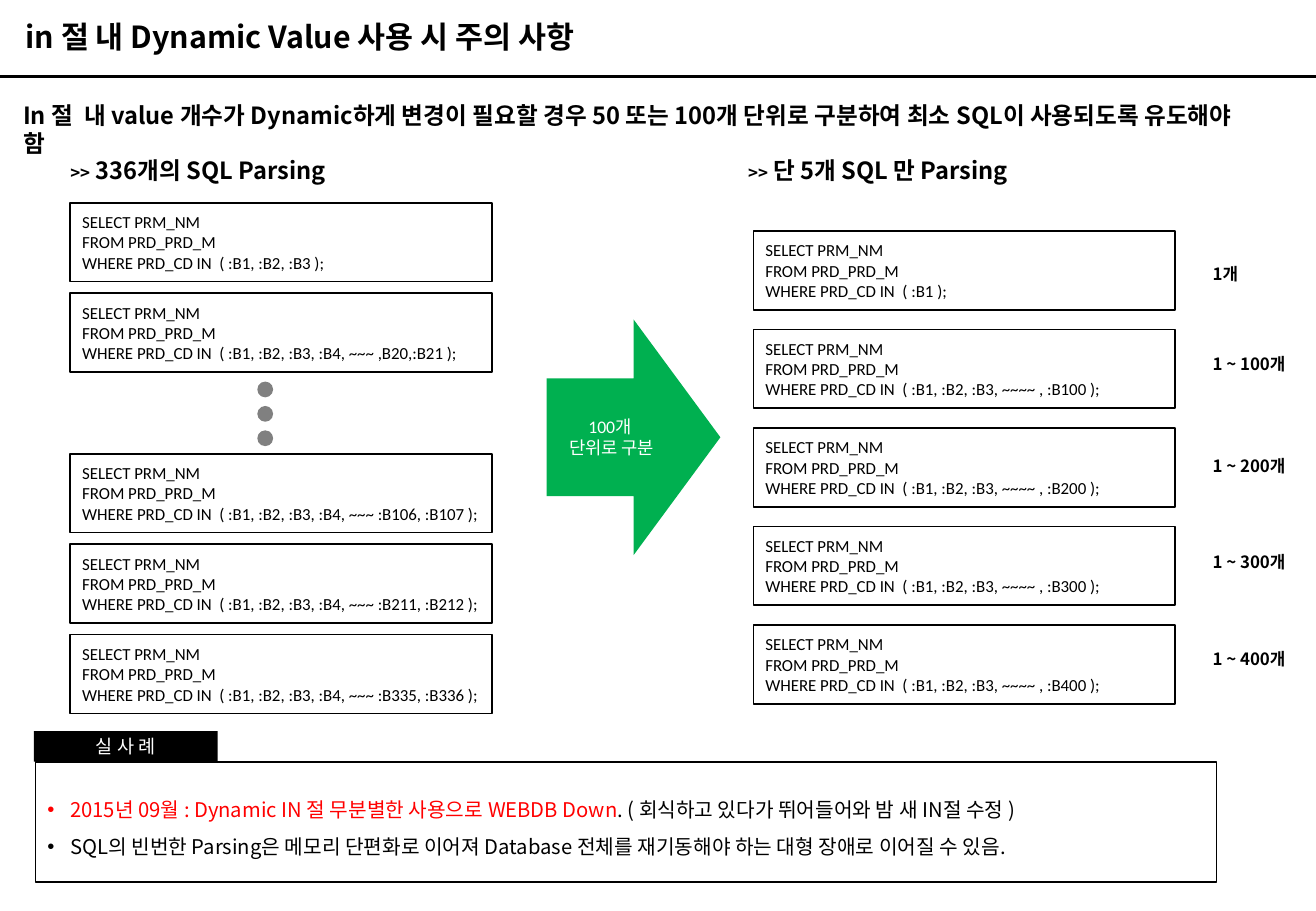
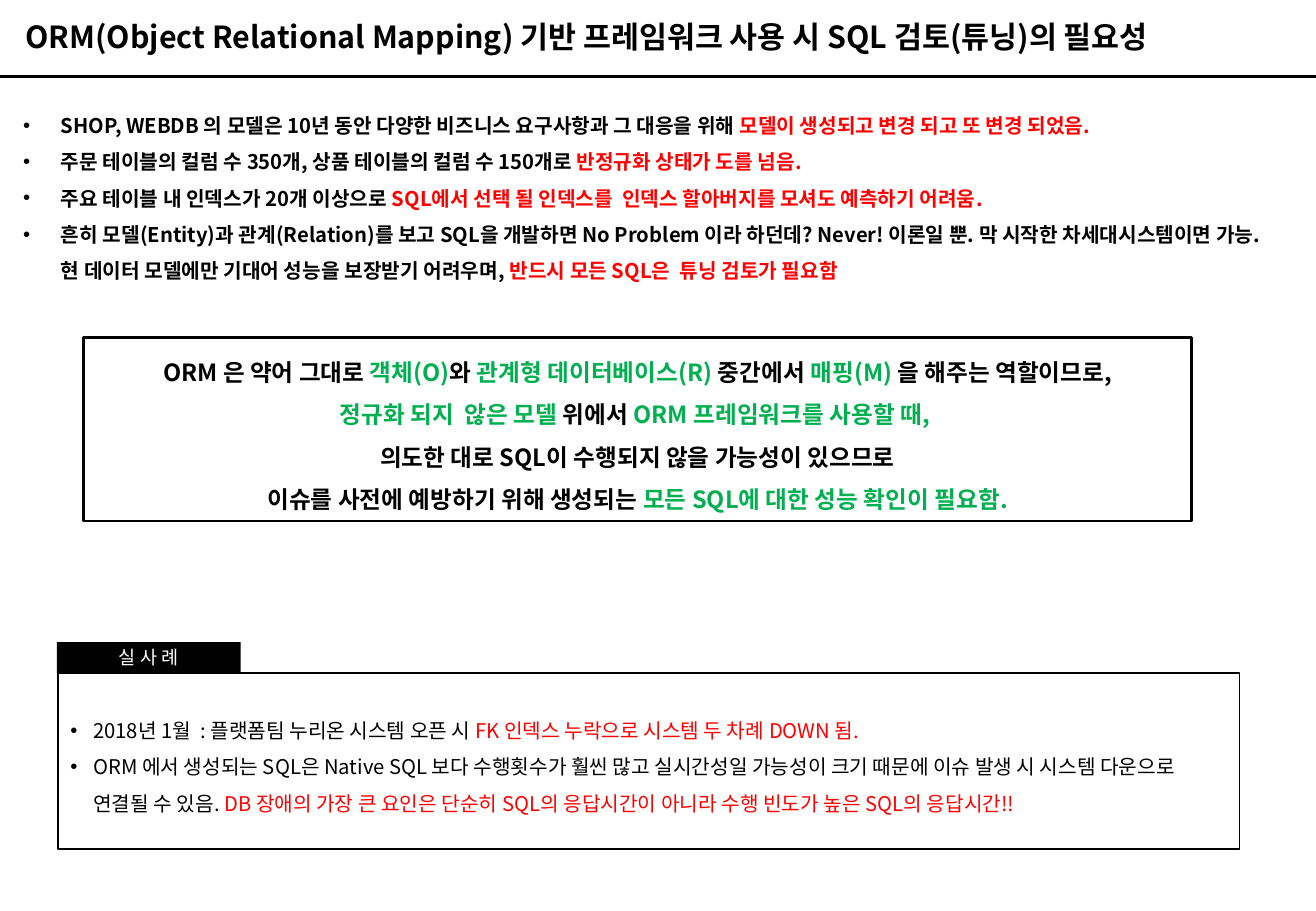
"""Build two slides on SQL parsing with dynamic IN lists and on SQL review under ORM."""
from lxml import etree
from pptx import Presentation
from pptx.dml.color import RGBColor
from pptx.enum import shapes, text
from pptx.oxml.ns import qn
from pptx.util import Cm, Pt

BLACK, WHITE, GRAY, RED, GREEN = "000000", "FFFFFF", "808080", "FF0000", "00B050"
KOREAN, LATIN = "Noto Sans CJK KR", "Calibri"
RECTANGLE = shapes.MSO_SHAPE.RECTANGLE
LEFT, CENTER = text.PP_ALIGN.LEFT, text.PP_ALIGN.CENTER
TOP, MIDDLE = text.MSO_ANCHOR.TOP, text.MSO_ANCHOR.MIDDLE
color = RGBColor.from_string


def write(shape, lines, size, base=BLACK, accent=RED, font=KOREAN, bold=False,
          align=LEFT, anchor=MIDDLE, spacing=1.0, indent=None):
    """Fill a shape with lines whose parts, split by |, alternate base and accent colour."""
    frame = shape.text_frame
    frame.word_wrap = True
    frame.auto_size = text.MSO_AUTO_SIZE.NONE
    frame.vertical_anchor = anchor
    frame.text = "\n" * (len(lines) - 1)
    for paragraph, line in zip(frame.paragraphs, lines):
        paragraph.alignment = align
        paragraph.line_spacing = spacing
        paragraph.space_before = Pt(0)
        for index, part in enumerate(line.split("|")):
            for row, words in enumerate(part.split("\n")):
                if row:
                    paragraph.add_line_break()
                if words:
                    run = paragraph.add_run()
                    run.text = words
                    run.font.size = Pt(size)
                    run.font.bold = bold
                    run.font.name = font
                    run.font.color.rgb = color(accent if index % 2 else base)
    for properties in shape.element.iter(qn("a:rPr")):
        etree.SubElement(properties, qn("a:ea"), typeface=KOREAN)
    for line_break in shape.element.iter(qn("a:br")):
        etree.SubElement(line_break, qn("a:rPr"), sz=str(size * 100))
    for properties in shape.element.iter(qn("a:pPr")):
        properties.set("marL", str(Cm(indent or 0)))
        properties.set("indent", str(-Cm(indent or 0)))
        if indent:
            etree.SubElement(properties, qn("a:buFont"), typeface="Arial")
            etree.SubElement(properties, qn("a:buChar"), char="•")
        else:
            etree.SubElement(properties, qn("a:buNone"))


def add_box(slide, kind, left, top, width, height, fill=None, line=None, weight=1):
    """Add a preset shape, placed in centimetres, without a shadow."""
    shape = slide.shapes.add_shape(kind, Cm(left), Cm(top), Cm(width), Cm(height))
    shape.shadow.inherit = False
    if fill:
        shape.fill.solid()
        shape.fill.fore_color.rgb = color(fill)
    else:
        shape.fill.background()
    if line:
        shape.line.color.rgb = color(line)
        shape.line.width = Pt(weight)
    else:
        shape.line.fill.background()
    return shape


presentation = Presentation()
presentation.slide_width, presentation.slide_height = Cm(27.51), Cm(19.05)
layout = presentation.slide_layouts[1]
for placeholder, (left, top, width, height) in zip(
        layout.placeholders, [(0.28, 0.25, 27, 1.02), (0.23, 1.98, 26.62, 4.11)]):
    placeholder.left, placeholder.top = Cm(left), Cm(top)
    placeholder.width, placeholder.height = Cm(width), Cm(height)

pages = [
    ("in 절 내 Dynamic Value 사용 시 주의 사항", (0.74, 15.93, 2.51), [
        "|2015년 09월 : Dynamic IN 절 무분별한 사용으로 WEBDB Down|"
        ". ( 회식하고 있다가 뛰어들어와 밤 새 IN절 수정 )",
        "SQL의 빈번한 Parsing은 메모리 단편화로 이어져 Database 전체를 "
        "재기동해야 하는 대형 장애로 이어질 수 있음."]),
    ("ORM(Object Relational Mapping) 기반 프레임워크 사용 시 SQL 검토(튜닝)의 필요성",
     (1.22, 14.07, 3.68), [
        "2018년 1월  : 플랫폼팀 누리온 시스템 오픈 시 |FK 인덱스 누락으로 시스템 두 차례 DOWN 됨.",
        "ORM 에서 생성되는 SQL은 Native SQL 보다 수행횟수가 훨씬 많고 실시간성일 가능성이 "
        "크기 때문에 이슈 발생 시 시스템 다운으로 연결될 수 있음. |DB 장애의 가장 큰 요인은 "
        "단순히 SQL의 응답시간이 아니라 수행 빈도가 높은 SQL의 응답시간!!"]),
]
for title, (left, top, height), cases in pages:
    slide = presentation.slides.add_slide(layout)
    write(slide.shapes.title, [title], 18, bold=True, anchor=TOP)
    rule = slide.shapes.add_connector(
        shapes.MSO_CONNECTOR.STRAIGHT, 0, Cm(1.6), presentation.slide_width, Cm(1.6))
    rule.line.color.rgb = color(BLACK)
    rule.line.width = Pt(2.25)
    etree.SubElement(rule.element.spPr, qn("a:effectLst"))
    case_box = add_box(slide, RECTANGLE, left, top, 24.69, height, WHITE, BLACK)
    write(case_box, cases, 12, spacing=1.5, indent=0.48)
    case_tab = add_box(slide, RECTANGLE, left - 0.03, top - 0.64, 3.84, 0.64, BLACK)
    write(case_tab, ["실 사 례"], 11, WHITE, align=CENTER)

parsing, mapping = presentation.slides

summary = parsing.placeholders[1]
summary.left, summary.top, summary.width, summary.height = Cm(0.23), Cm(1.98), Cm(26.14), Cm(0.86)
write(summary, ["In 절  내 value 개수가 Dynamic하게 변경이 필요할 경우 50 또는 100개 단위로 "
                "구분하여 최소 SQL이 사용되도록 유도해야 함"], 14, bold=True, anchor=TOP)

for left, heading in [(1.22, "336개의 SQL Parsing"), (15.39, "단 5개 SQL 만 Parsing")]:
    heading_box = parsing.shapes.add_textbox(Cm(left), Cm(3.12), Cm(12.12), Cm(0.86))
    write(heading_box, [f">>| {heading}"], 14, accent=BLACK, bold=True)
    heading_box.text_frame.paragraphs[0].runs[0].font.size = Pt(10)

before = [":B1, :B2, :B3", ":B1, :B2, :B3, :B4, ~~~ ,B20,:B21"]
before += [f":B1, :B2, :B3, :B4, ~~~ {last}" for last in (":B106, :B107", ":B211, :B212", ":B335, :B336")]
after = [":B1"] + [f":B1, :B2, :B3, ~~~~ , :B{count}" for count in range(100, 500, 100)]
queries = [(1.47, 4.24 + 1.89 * index + (1.47 if index > 1 else 0), binds)
           for index, binds in enumerate(before)]
queries += [(15.75, 4.83 + 2.06 * index, binds) for index, binds in enumerate(after)]
for left, top, binds in queries:
    query_box = add_box(parsing, RECTANGLE, left, top, 8.81, 1.65, WHITE, BLACK)
    write(query_box, ["SELECT PRM_NM", "FROM PRD_PRD_M", f"WHERE PRD_CD IN  ( {binds} );"],
          10, font=LATIN)

for index in range(3):
    add_box(parsing, shapes.MSO_SHAPE.OVAL, 5.38, 7.98 + 0.51 * index, 0.33, 0.33, GRAY)

arrow = add_box(parsing, shapes.MSO_SHAPE.RIGHT_ARROW, 11.43, 6.68, 3.63, 4.93, GREEN)
write(arrow, ["100개 ", "단위로 구분"], 10.5, WHITE, font=LATIN, align=CENTER)

counts = ["1개"] + [f"1 ~ {count}개" for count in range(100, 500, 100)]
for top, count in zip([5.38, 7.26, 9.4, 11.4, 13.44], counts):
    count_label = parsing.shapes.add_textbox(Cm(25.1), Cm(top), Cm(2.08), Cm(0.69))
    write(count_label, [count], 10, bold=True)

write(mapping.placeholders[1], [
    "SHOP, WEBDB 의 모델은 10년 동안 다양한 비즈니스 요구사항과 그 대응을 위해 "
    "|모델이 생성되고 변경 되고 또 변경 되었음.",
    "주문 테이블의 컬럼 수 350개, 상품 테이블의 컬럼 수 150개로 |반정규화 상태가 도를 넘음.",
    "주요 테이블 내 인덱스가 20개 이상으로 "
    "|SQL에서 선택 될 인덱스를  인덱스 할아버지를 모셔도 예측하기 어려움.",
    "흔히 모델(Entity)과 관계(Relation)를 보고 SQL을 개발하면 No Problem 이라 하던데? "
    "Never! 이론일 뿐. 막 시작한 차세대시스템이면 가능.\n"
    "현 데이터 모델에만 기대어 성능을 보장받기 어려우며, |반드시 모든 SQL은  튜닝 검토가 필요함",
], 12, bold=True, anchor=TOP, spacing=1.5, indent=0.79)

message = add_box(mapping, RECTANGLE, 1.75, 7.06, 23.16, 3.84, line=BLACK, weight=1.5)
write(message, [
    "ORM 은 약어 그대로 |객체(O)|와 |관계형 데이터베이스(R) |중간에서 |매핑(M) |을 해주는 역할이므로,",
    "|정규화 되지  않은 모델 |위에서 |ORM 프레임워크를 사용할 때, ",
    "의도한 대로 SQL이 수행되지 않을 가능성이 있으므로",
    "이슈를 사전에 예방하기 위해 생성되는 |모든 SQL에 대한 성능 확인이 필요함.",
], 14, accent=GREEN, bold=True, align=CENTER, anchor=TOP, spacing=1.5)

presentation.save("out.pptx")
